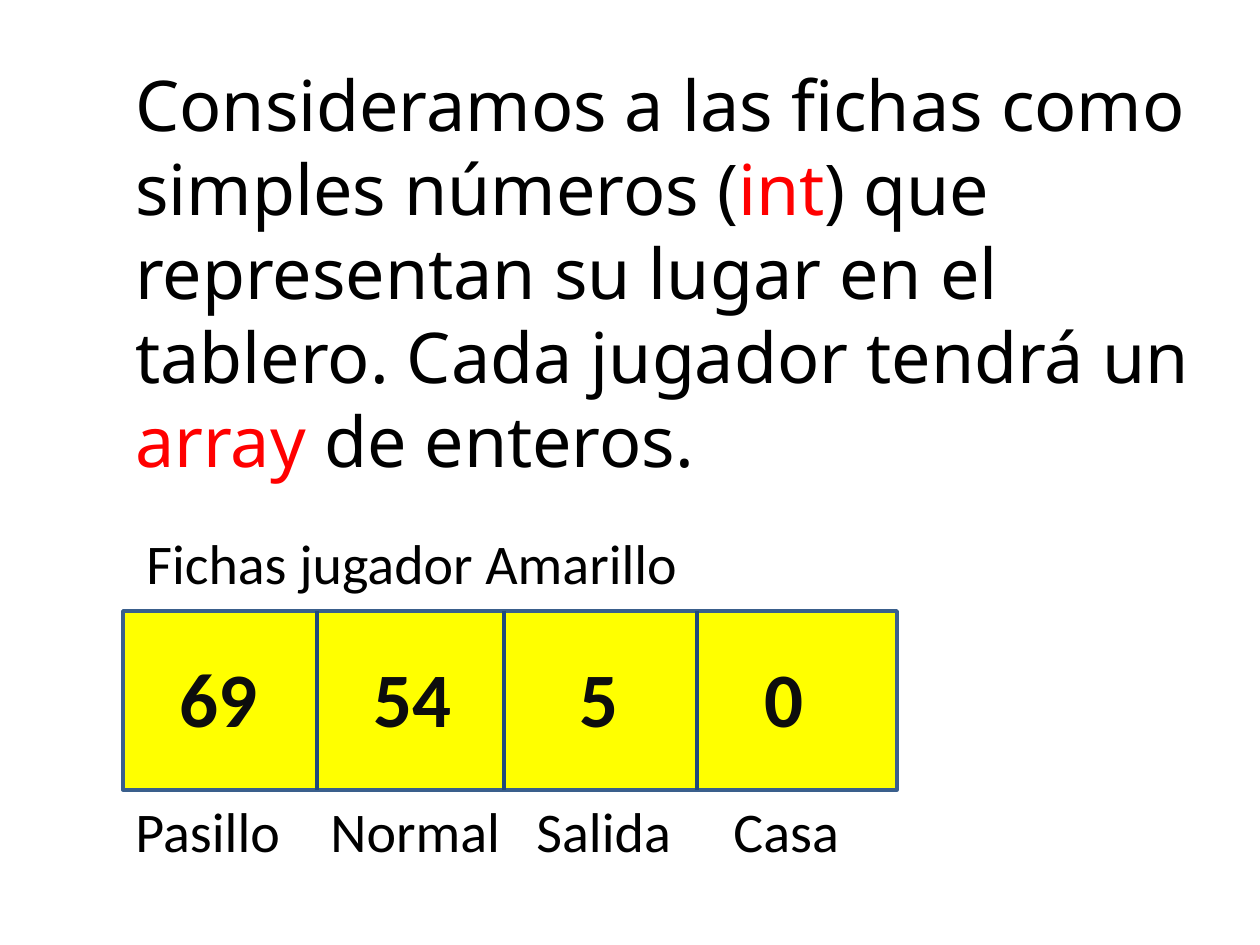
from lxml import etree
from pptx import Presentation
from pptx import util as u
from pptx.dml.color import RGBColor
from pptx.enum import shapes, text
from pptx.oxml import ns

BLACK = RGBColor(0x00, 0x00, 0x00)
DARK = RGBColor(0x0D, 0x0D, 0x0D)
RED = RGBColor(0xFF, 0x00, 0x00)
YELLOW = RGBColor(0xFF, 0xFF, 0x00)
BORDER = RGBColor(0x3A, 0x5F, 0x8C)
DIVIDER = RGBColor(0x1F, 0x49, 0x7D)


def px(n):
    return u.Emu(round(n * 914400 / 126))


def add_text(s, box, runs, font, size, color=BLACK, bold=False):
    tf = s.shapes.add_textbox(*map(px, box)).text_frame
    tf.word_wrap = True
    p = tf.paragraphs[0]
    p.font.name, p.font.size, p.font.bold = font, u.Pt(size), bold
    for words, run_color in runs:
        r = p.add_run()
        r.text = words
        r.font.color.rgb = run_color or color
    return p


prs = Presentation()
prs.slide_width, prs.slide_height = px(1260), px(945)
s = prs.slides.add_slide(prs.slide_layouts[6])

# Explanation
intro = [
    ("Consideramos a las fichas como simples números (", None),
    ("int", RED),
    (") que representan su lugar en el tablero. Cada jugador tendrá un ", None),
    ("array ", RED),
    ("de enteros.", None),
]
add_text(s, (123, 55, 1111, 437), intro, "Noto Sans", 40)

# Array of pieces
left, top, width, height = 123, 611, 774, 179
sp = s.shapes.add_shape(shapes.MSO_SHAPE.RECTANGLE, px(left), px(top), px(width), px(height))
sp.shadow.inherit = False
sp.fill.solid()
sp.fill.fore_color.rgb = YELLOW
sp.line.color.rgb = BORDER
sp.line.width = u.Pt(2)

for x in (317, 504, 697):
    line = s.shapes.add_connector(shapes.MSO_CONNECTOR.STRAIGHT, px(x), px(top), px(x), px(top + height))
    line.line.color.rgb = DIVIDER
    line.line.width = u.Pt(2.25)
    etree.SubElement(line._element.spPr, ns.qn("a:effectLst"))

# Values
for x, value in ((144, "69"), (338, "54"), (524, "5"), (709, "0")):
    p = add_text(s, (x, 644, 150, 106), [(value, None)], "Calibri", 44, DARK, True)
    p.alignment = text.PP_ALIGN.CENTER

# Heading above and place names below, set on tab stops
add_text(s, (134, 522, 893, 81), [("Fichas jugador Amarillo", None)], "Calibri", 32)
p = add_text(s, (left, top + height, width, 81), [("Pasillo\tNormal\tSalida\tCasa", None)], "Calibri", 32)
pPr = p._p.get_or_add_pPr()
tabs = etree.Element(ns.qn("a:tabLst"))
pPr.insert(0, tabs)
for x in (195, 401, 598):
    etree.SubElement(tabs, ns.qn("a:tab"), pos=str(px(x)), algn="l")

prs.save("out.pptx")
